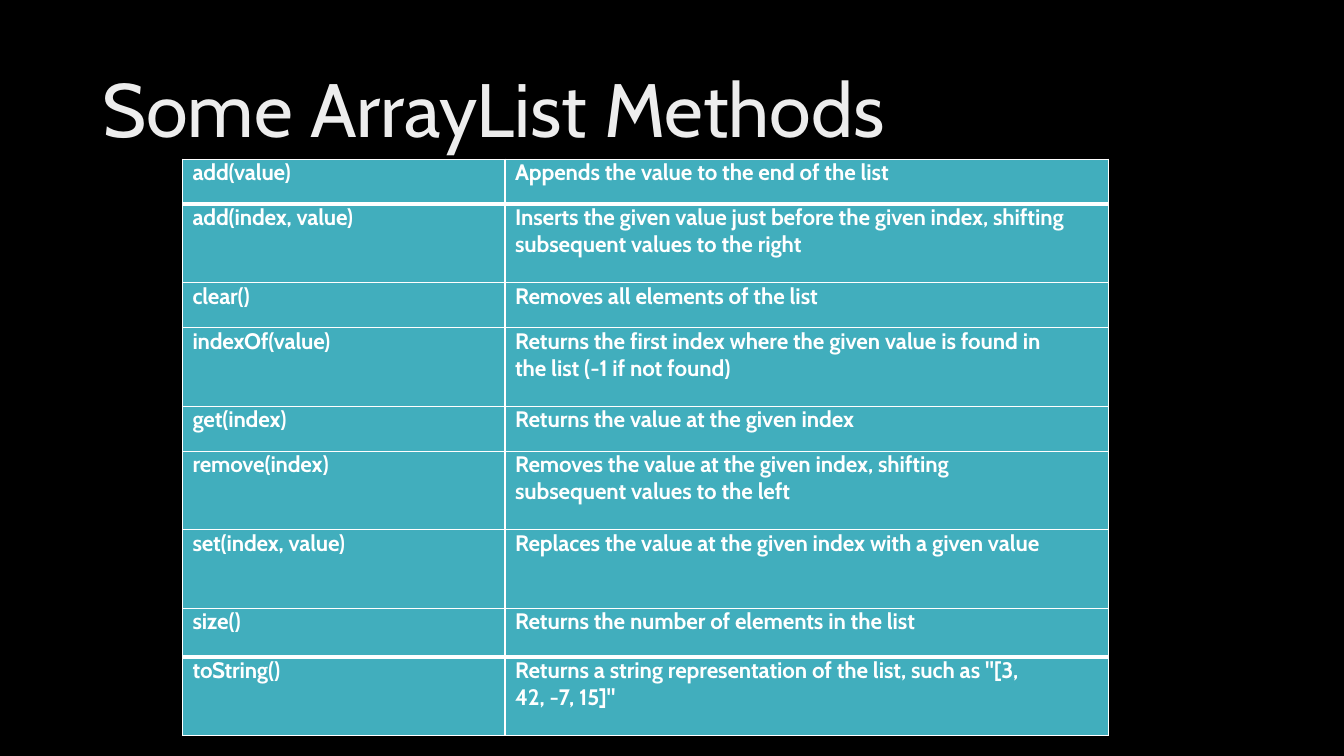
from lxml import etree
from pptx import Presentation
from pptx.dml.color import RGBColor
from pptx.enum.text import MSO_ANCHOR
from pptx.oxml.ns import qn
from pptx.util import Pt

MIDDLE, TOP = MSO_ANCHOR.MIDDLE, MSO_ANCHOR.TOP

# Row kinds: plain, tall and the one before last
LOW, HIGH, MID = 32.1, 56.1, 34.6

# Method, meaning, row height, right margin of the meaning
ROWS = [
    ("add(value)", "Appends the value to the end of the list", LOW, 0),
    ("add(index, value)", "Inserts the given value just before the given index, "
     "shifting subsequent values to the right", HIGH, 0),
    ("clear()", "Removes all elements of the list", LOW, 0),
    ("indexOf(value)", "Returns the first index where the given value is found in "
     "the list (-1 if not found)", HIGH, 31),
    ("get(index)", "Returns the value at the given index", LOW, 0),
    ("remove(index)", "Removes the value at the given index, shifting "
     "subsequent values to the left", HIGH, 63),
    ("set(index, value)", "Replaces the value at the given index with a given value",
     HIGH, 0),
    ("size()", "Returns the number of elements in the list", MID, 0),
    ("toString()", "Returns a string representation of the list, such as "
     "\"[3, 42, -7, 15]\"", HIGH, 63),
]


def color(code):
    return RGBColor.from_string(code)


def write(frame, text, size, ink, font, bold=False, lead=1.0, track=0):
    par = frame.paragraphs[0]
    par.line_spacing = lead
    run = par.add_run()
    run.text = text
    run.font.size = Pt(size)
    run.font.name = font
    run.font.bold = bold
    run.font.color.rgb = color(ink)
    if track:
        run.font._element.set("spc", str(track))


class Deck:
    font, ink, fill, line = "Cabin", "FFFFFF", "41AEBD", "FFFFFF"

    def __init__(self, width, height, back):
        self.file = Presentation()
        self.file.slide_width, self.file.slide_height = Pt(width), Pt(height)
        self.slide = self.file.slides.add_slide(self.file.slide_layouts[6])
        ground = self.slide.background.fill
        ground.solid()
        ground.fore_color.rgb = color(back)

    def title(self, text, left, top, width, height):
        box = self.slide.shapes.add_textbox(Pt(left), Pt(top), Pt(width), Pt(height))
        frame = box.text_frame
        frame.word_wrap = True
        frame.vertical_anchor = MIDDLE
        write(frame, text, 54, "EDEDED", self.font, lead=0.9)

    def border(self, cell, side, width):
        props = cell._tc.get_or_add_tcPr()
        edge = etree.Element(qn("a:" + side), w=str(Pt(width)))
        paint = etree.SubElement(edge, qn("a:solidFill"))
        etree.SubElement(paint, qn("a:srgbClr"), val=self.line)
        props.insert(len(props) - 1, edge)  # borders go before the fill

    def cell(self, cell, text, right, track, above, below):
        cell.margin_left, cell.margin_right = Pt(7.2), Pt(right)
        cell.margin_top = cell.margin_bottom = 0
        cell.vertical_anchor = TOP
        cell.fill.solid()
        cell.fill.fore_color.rgb = color(self.fill)
        write(cell.text_frame, text, 16, self.ink, self.font, bold=True, track=track)
        for side, width in (("lnL", 1), ("lnR", 1), ("lnT", above), ("lnB", below)):
            self.border(cell, side, width)

    def table(self, rows, left, top, widths):
        total = sum(row[2] for row in rows)
        grid = self.slide.shapes.add_table(
            len(rows), len(widths), Pt(left), Pt(top), Pt(sum(widths)), Pt(total)).table
        for col, width in zip(grid.columns, widths):
            col.width = Pt(width)
        # Thick rules set off the first and last rows
        rules = [1, 3] + [1] * (len(rows) - 3) + [3, 1]
        for num, (name, note, height, right) in enumerate(rows):
            grid.rows[num].height = Pt(height)
            edges = rules[num:num + 2]
            self.cell(grid.cell(num, 0), name, 0, -10, *edges)
            self.cell(grid.cell(num, 1), note, right, -7, *edges)


def main():
    deck = Deck(960, 540, "000000")
    deck.title("Some ArrayList Methods", 66, 28.8, 828, 104.4)
    deck.table(ROWS, 130.3, 113.8, (230.4, 431.3))
    deck.file.save("out.pptx")


if __name__ == "__main__":
    main()
